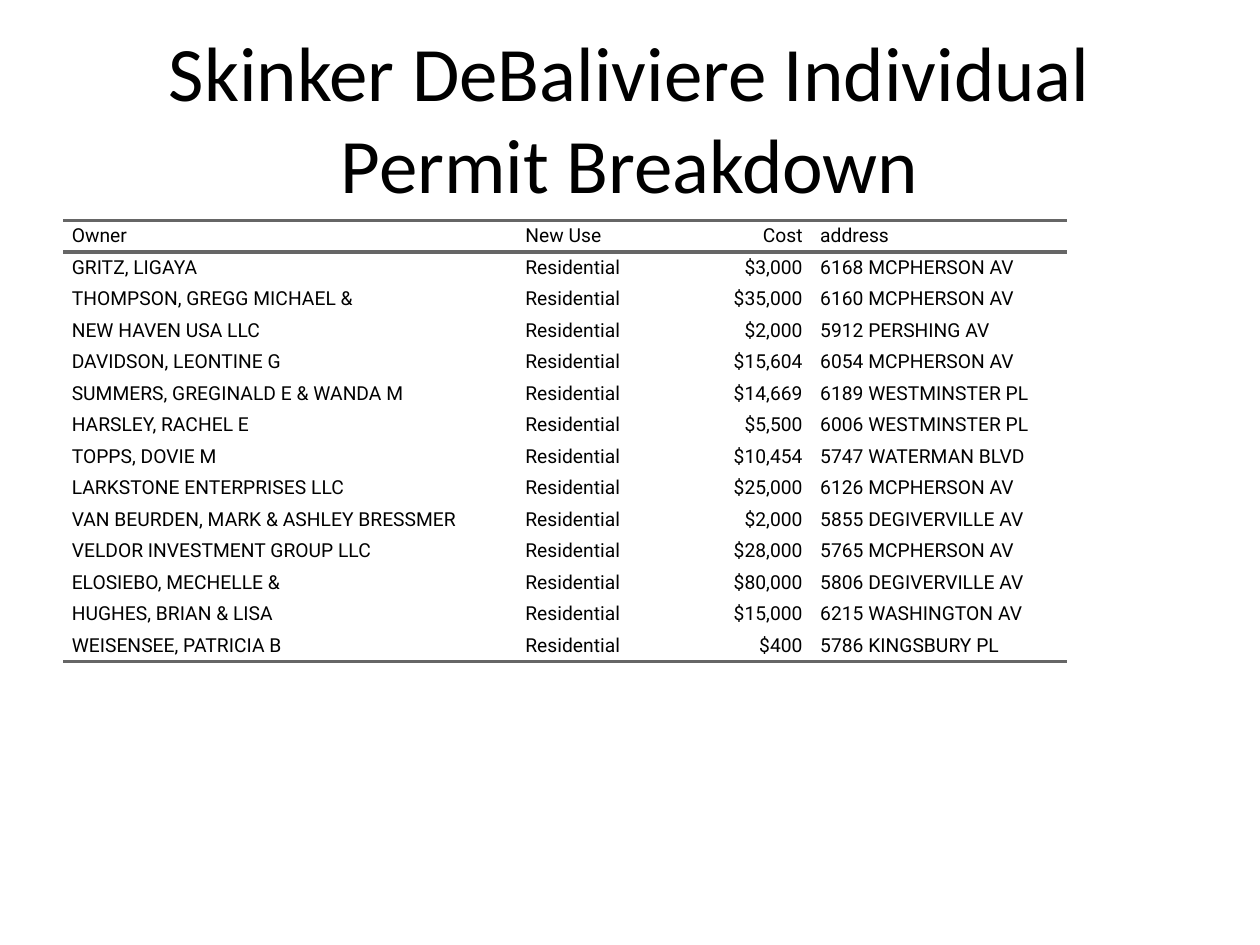
import dataclasses

import pptx
import pptx.dml.color
import pptx.enum.text
import pptx.oxml
import pptx.oxml.ns
import pptx.util
from pptx.util import Inches

ALIGN = pptx.enum.text.PP_ALIGN
MIDDLE = pptx.enum.text.MSO_ANCHOR.MIDDLE


@dataclasses.dataclass(frozen=True)
class Theme:
    """Colours, fonts and type sizes of the slide."""
    ink: str = "000000"
    rule: str = "666666"
    title_font: str = "Calibri"
    body_font: str = "Roboto"
    title_size: int = 44
    body_size: int = 11
    rule_width: int = 2


class SlideBuilder:
    """Holds the theme and the current slide, and draws each kind of element."""

    def __init__(self, slide, theme):
        """Keep the slide and its theme."""
        self.s = slide
        self.theme = theme

    def add_text(self, tf, text, font, size, align):
        """Add one styled run to the first paragraph of a text frame."""
        p = tf.paragraphs[0]
        p.alignment = align
        r = p.add_run()
        r.text = text
        r.font.name = font
        r.font.size = pptx.util.Pt(size)
        r.font.color.rgb = pptx.dml.color.RGBColor.from_string(self.theme.ink)

    def title(self, text, left, top, width, height):
        """Add the centred slide title."""
        sp = self.s.shapes.add_textbox(left, top, width, height)
        tf = sp.text_frame
        tf.word_wrap = True
        tf.vertical_anchor = MIDDLE
        self.add_text(tf, text, self.theme.title_font, self.theme.title_size, ALIGN.CENTER)

    def border(self, side, visible):
        """Return one cell border, either a solid rule or none."""
        width = pptx.util.Pt(self.theme.rule_width)
        fill = (f'<a:solidFill><a:srgbClr val="{self.theme.rule}"/></a:solidFill>'
                if visible else "<a:noFill/>")
        return pptx.oxml.parse_xml(
            f'<a:{side} {pptx.oxml.ns.nsdecls("a")} w="{width}">{fill}</a:{side}>')

    def cell(self, cell, text, align, top, bottom):
        """Fill one table cell and rule its top and bottom edges as asked."""
        cell.margin_left = cell.margin_right = Inches(0.07)
        cell.margin_top = cell.margin_bottom = 0
        cell.vertical_anchor = MIDDLE
        self.add_text(cell.text_frame, text, self.theme.body_font, self.theme.body_size, align)
        tcPr = cell._tc.get_or_add_tcPr()
        for side, visible in (("lnL", False), ("lnR", False), ("lnT", top), ("lnB", bottom)):
            tcPr.append(self.border(side, visible))
        cell.fill.background()

    def table(self, rows, left, top, widths, row_height, aligns):
        """Add a table ruled above and below its header and below its last row."""
        sp = self.s.shapes.add_table(len(rows), len(widths), left, top,
                                     sum(widths), row_height * len(rows))
        tbl = sp.table
        tbl.first_row = tbl.horz_banding = False
        for column, width in zip(tbl.columns, widths):
            column.width = width
        for i, row in enumerate(rows):
            tbl.rows[i].height = row_height
            for j, (text, align) in enumerate(zip(row, aligns)):
                self.cell(tbl.cell(i, j), text, align,
                          top=i in (0, 1), bottom=i in (0, len(rows) - 1))


HEADER = ("Owner", "New Use", "Cost", "address")
PERMITS = [
    ("GRITZ, LIGAYA", "$3,000", "6168 MCPHERSON AV"),
    ("THOMPSON, GREGG MICHAEL &", "$35,000", "6160 MCPHERSON AV"),
    ("NEW HAVEN USA LLC", "$2,000", "5912 PERSHING AV"),
    ("DAVIDSON, LEONTINE G", "$15,604", "6054 MCPHERSON AV"),
    ("SUMMERS, GREGINALD E & WANDA M", "$14,669", "6189 WESTMINSTER PL"),
    ("HARSLEY, RACHEL E", "$5,500", "6006 WESTMINSTER PL"),
    ("TOPPS, DOVIE M", "$10,454", "5747 WATERMAN BLVD"),
    ("LARKSTONE ENTERPRISES LLC", "$25,000", "6126 MCPHERSON AV"),
    ("VAN BEURDEN, MARK & ASHLEY BRESSMER", "$2,000", "5855 DEGIVERVILLE AV"),
    ("VELDOR INVESTMENT GROUP LLC", "$28,000", "5765 MCPHERSON AV"),
    ("ELOSIEBO, MECHELLE &", "$80,000", "5806 DEGIVERVILLE AV"),
    ("HUGHES, BRIAN & LISA", "$15,000", "6215 WASHINGTON AV"),
    ("WEISENSEE, PATRICIA B", "$400", "5786 KINGSBURY PL"),
]


def main():
    """Build the permit slide and save it."""
    prs = pptx.Presentation()
    prs.slide_width, prs.slide_height = Inches(10), Inches(7.5)
    s = SlideBuilder(prs.slides.add_slide(prs.slide_layouts[6]), Theme())
    s.title("Skinker DeBaliviere Individual Permit Breakdown",
            Inches(0.5), Inches(0.3), Inches(9), Inches(1.25))
    rows = [HEADER] + [(owner, "Residential", cost, address)
                       for owner, cost, address in PERMITS]
    s.table(rows, Inches(0.5), Inches(1.75),
            [Inches(w) for w in (3.6, 1.04, 1.3, 2.03)], Inches(0.25),
            (ALIGN.LEFT, ALIGN.LEFT, ALIGN.RIGHT, ALIGN.LEFT))
    prs.save("out.pptx")


if __name__ == "__main__":
    main()
